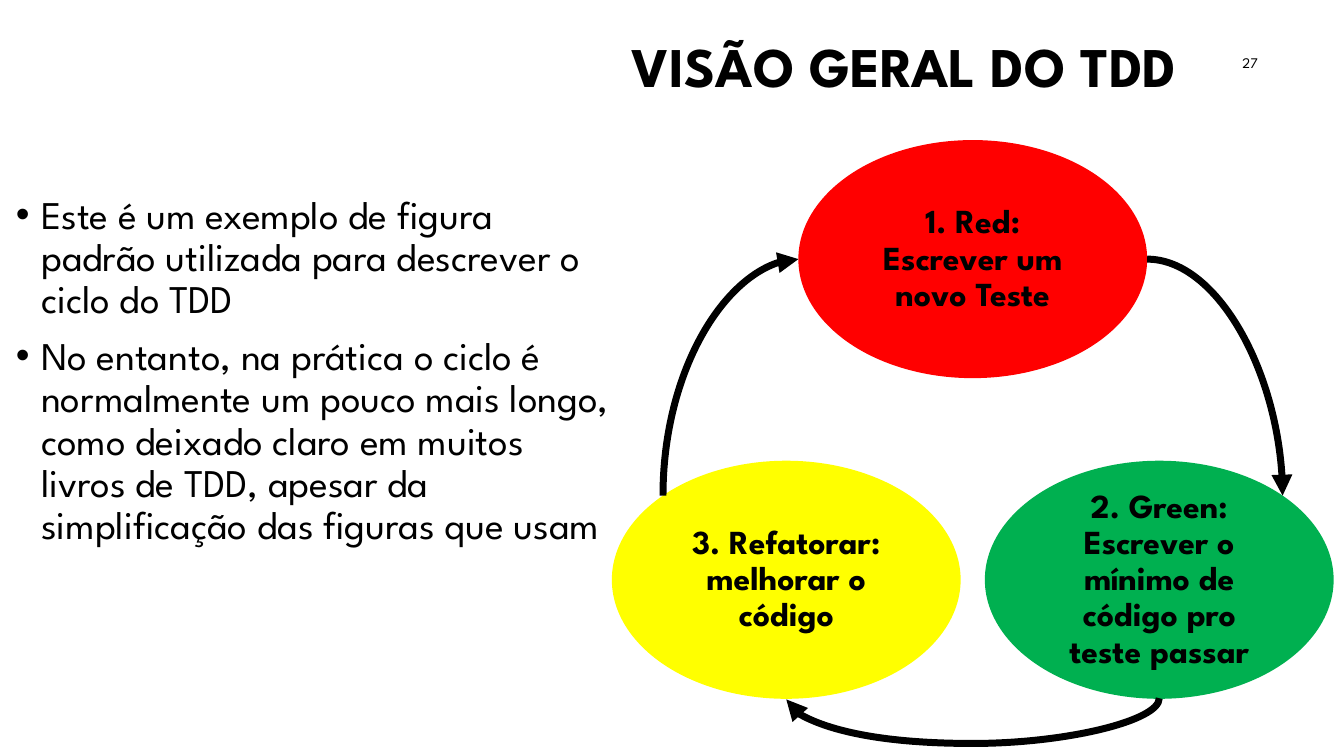
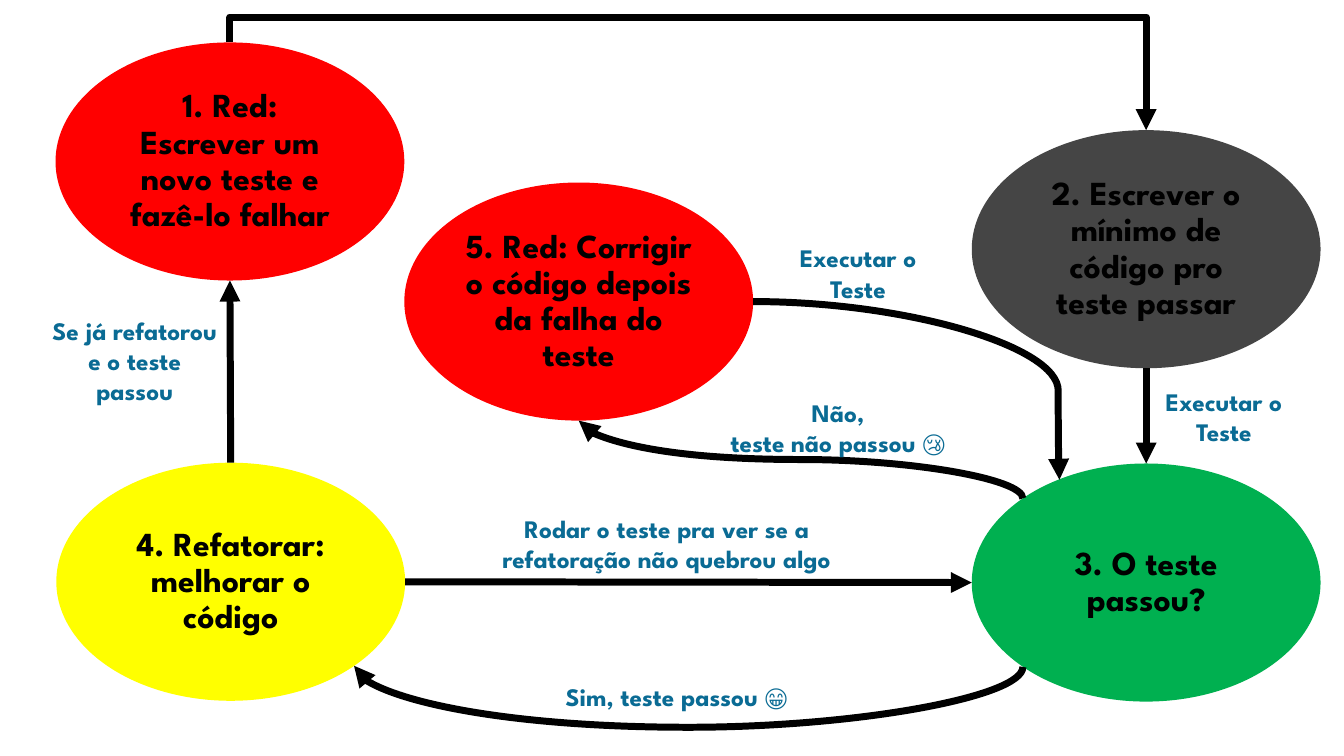
import math

import lxml.etree
import pptx
import pptx.dml.color
import pptx.enum.shapes
import pptx.enum.text
import pptx.oxml.ns
import pptx.util

Cm = pptx.util.Cm
Pt = pptx.util.Pt
qn = pptx.oxml.ns.qn
ALIGN = pptx.enum.text.PP_ALIGN
ANCHOR = pptx.enum.text.MSO_ANCHOR
CONNECTOR = pptx.enum.shapes.MSO_CONNECTOR

SLIDE_WIDTH, SLIDE_HEIGHT = 33.87, 19.05
FONT = "League Spartan"
COLORS = {
    "ink": "000000",
    "label": "0A6B94",
    "red": "FF0000",
    "green": "00B050",
    "yellow": "FFFF00",
    "gray": "454545",
}
STYLES = {
    "title": {
        "font": {"size": Pt(40), "bold": True},
        "paragraph": {"alignment": ALIGN.RIGHT, "line_spacing": 0.9},
        "frame": {"vertical_anchor": ANCHOR.MIDDLE},
    },
    "body": {
        "font": {"size": Pt(28), "bold": False},
        "paragraph": {"alignment": ALIGN.LEFT, "line_spacing": 0.9, "space_before": Pt(10)},
        "frame": {"vertical_anchor": ANCHOR.TOP},
    },
    "number": {
        "font": {"size": Pt(10.5), "bold": False},
        "paragraph": {"alignment": ALIGN.RIGHT},
        "frame": {"vertical_anchor": ANCHOR.MIDDLE},
    },
    "step": {
        "font": {"size": Pt(24), "bold": True},
        "paragraph": {"alignment": ALIGN.CENTER, "line_spacing": 0.9},
        "frame": {
            "vertical_anchor": ANCHOR.MIDDLE,
            "margin_left": Cm(0.25),
            "margin_right": Cm(0.25),
            "margin_top": Cm(0.25),
            "margin_bottom": Cm(0.25),
        },
    },
    "label": {
        "font": {"size": Pt(18), "bold": True},
        "paragraph": {"alignment": ALIGN.CENTER},
        "frame": {"vertical_anchor": ANCHOR.TOP},
    },
}
STEP_WIDTH, STEP_HEIGHT = 8.79, 6.0
# Connection sites of an ellipse, counter-clockwise from the top
TOP, TOP_LEFT, LEFT, BOTTOM_LEFT, BOTTOM, BOTTOM_RIGHT, RIGHT = range(7)
MIN_EXTENT = 0.03


def rgb(color):
    return pptx.dml.color.RGBColor.from_string(COLORS[color])


def set_values(target, values):
    for attribute, value in values.items():
        setattr(target, attribute, value)


def write(frame, text, style, color="ink"):
    formats = STYLES[style]
    frame.text = text
    frame.word_wrap = True
    set_values(frame, formats["frame"])
    for paragraph in frame.paragraphs:
        set_values(paragraph, formats["paragraph"])
        for run in paragraph.runs:
            set_values(run.font, {"name": FONT, **formats["font"]})
            run.font.color.rgb = rgb(color)


def add_text(slide, box, text, style, color="ink"):
    area = slide.shapes.add_textbox(*map(Cm, box))
    write(area.text_frame, text, style, color)
    return area.text_frame


def add_title(slide, box, text):
    title = slide.shapes.title
    set_values(title, dict(zip(("left", "top", "width", "height"), map(Cm, box))))
    write(title.text_frame, text, "title")


def add_bullets(slide, box, items):
    frame = add_text(slide, box, "\n".join(items), "body")
    for paragraph in frame.paragraphs:
        properties = paragraph._p.get_or_add_pPr()
        properties.set("marL", str(Cm(0.64)))
        properties.set("indent", str(-Cm(0.64)))
        lxml.etree.SubElement(properties, qn("a:buFont")).set("typeface", "Arial")
        lxml.etree.SubElement(properties, qn("a:buChar")).set("char", "•")


def add_step(slide, left, top, color, text):
    step = slide.shapes.add_shape(
        pptx.enum.shapes.MSO_SHAPE.OVAL, Cm(left), Cm(top), Cm(STEP_WIDTH), Cm(STEP_HEIGHT)
    )
    step.shadow.inherit = False
    step.fill.solid()
    step.fill.fore_color.rgb = rgb(color)
    step.line.fill.background()
    write(step.text_frame, text, "step")
    return step


def site_point(step, site):
    """Centimetre position of a connection site on a step's ellipse."""
    angle = math.radians(45 * site)
    return (
        (step.left + step.width / 2 * (1 - math.sin(angle))).cm
        if isinstance(step.left, float)
        else (step.left + step.width / 2 * (1 - math.sin(angle))) / Cm(1),
        (step.top + step.height / 2 * (1 - math.cos(angle))) / Cm(1),
    )


def add_arrow(slide, start, end, kind=CONNECTOR.STRAIGHT, turn=0, bend=None, preset=None):
    """Join two (step, site) pairs, or end at an (x, y) point.

    turn is 0 when the arrow leaves sideways, 90 or 270 when it leaves
    vertically; bend is the page distance from the start to the bend.
    """
    x1, y1 = site_point(*start)
    glued_end = not isinstance(end[0], (int, float))
    x2, y2 = site_point(*end) if glued_end else end
    arrow = slide.shapes.add_connector(kind, Cm(x1), Cm(y1), Cm(x2), Cm(y2))

    dx, dy = x2 - x1, y2 - y1
    along, across = {0: (dx, dy), 90: (dy, -dx), 270: (-dy, dx)}[turn]
    extent = abs(along) if bend is None else max(abs(along), MIN_EXTENT)
    arrow.width, arrow.height = Cm(extent), Cm(abs(across))
    arrow.left = Cm((x1 + x2 - extent) / 2)
    arrow.top = Cm((y1 + y2 - abs(across)) / 2)
    properties = arrow._element.spPr
    frame = properties.find(qn("a:xfrm"))
    orientation = {
        "rot": turn * 60000,
        "flipH": int(along < -1e-4),
        "flipV": int(across < 0),
    }
    for attribute, value in orientation.items():
        frame.set(attribute, str(value))

    geometry = properties.find(qn("a:prstGeom"))
    if preset:
        geometry.set("prst", preset)
    if bend is not None:
        direction = -bend if turn == 270 else bend
        ratio = direction / math.copysign(extent, along if abs(along) > 1e-4 else 1)
        guide = lxml.etree.SubElement(geometry.find(qn("a:avLst")), qn("a:gd"))
        guide.set("name", "adj1")
        guide.set("fmla", f"val {round(ratio * 100000)}")

    arrow.line.width = Pt(5)
    arrow.line.color.rgb = rgb("ink")
    lxml.etree.SubElement(properties.find(qn("a:ln")), qn("a:tailEnd")).set("type", "triangle")
    lxml.etree.SubElement(properties, qn("a:effectLst"))

    links = arrow._element.find(qn("p:nvCxnSpPr")).find(qn("p:cNvCxnSpPr"))
    ends = [("a:stCxn", start)] + ([("a:endCxn", end)] if glued_end else [])
    for tag, (step, site) in ends:
        link = lxml.etree.SubElement(links, qn(tag))
        link.set("id", str(step.shape_id))
        link.set("idx", str(site))


def add_cycle(slide, left, top):
    """Three-step cycle: one step above, two below."""
    shift, drop = 4.7, 8.08
    red = add_step(slide, left + shift, top, "red", "1. Red: Escrever um novo Teste")
    green = add_step(slide, left + 2 * shift, top + drop, "green",
                     "2. Green: Escrever o mínimo de código pro teste passar")
    refactor = add_step(slide, left, top + drop, "yellow", "3. Refatorar: melhorar o código")
    curve = CONNECTOR.CURVE
    add_arrow(slide, (refactor, TOP_LEFT), (red, LEFT), curve, 90, preset="curvedConnector2")
    add_arrow(slide, (red, RIGHT), (green, 7), curve, preset="curvedConnector2")
    add_arrow(slide, (green, BOTTOM), (refactor, BOTTOM), curve, 90, bend=1.14)


def add_flow(slide, left, top):
    """Five-step flow with labelled arrows."""
    steps = {
        "test": (0, 0, "red", "1. Red: Escrever um novo teste e fazê-lo falhar"),
        "code": (23.09, 2.21, "gray", "2. Escrever o mínimo de código pro teste passar"),
        "check": (23.09, 10.61, "green", "3. O teste passou?"),
        "refactor": (0.02, 10.59, "yellow", "4. Refatorar: melhorar o código"),
        "fix": (8.79, 3.53, "red", "5. Red: Corrigir o código depois da falha do teste"),
    }
    placed = {
        key: add_step(slide, left + x, top + y, color, text)
        for key, (x, y, color, text) in steps.items()
    }
    test, code, check, refactor, fix = placed.values()
    curve = CONNECTOR.CURVE
    add_arrow(slide, (refactor, RIGHT), (check, LEFT))
    add_arrow(slide, (refactor, TOP), (test, BOTTOM))
    add_arrow(slide, (code, BOTTOM), (check, TOP))
    add_arrow(slide, (test, TOP), (code, TOP), CONNECTOR.ELBOW, 270, bend=-0.64)
    add_arrow(slide, (check, BOTTOM_LEFT), (refactor, BOTTOM_RIGHT), curve, 90, bend=1.52)
    add_arrow(slide, (check, TOP_LEFT), (fix, BOTTOM), curve, 270)
    add_arrow(slide, (fix, RIGHT), (left + 25.3, top + 11.02), curve, bend=7.69)

    labels = [
        (12.16, 15.97, 6.99, 1.02, "Sim, teste passou 😁"),
        (9.6, 11.73, 11.61, 1.8, "Rodar o teste pra ver se a\nrefatoração não quebrou algo"),
        (15.62, 8.81, 8.2, 1.8, "Não,\nteste não passou 😢"),
        (27.02, 8.53, 4.85, 1.8, "Executar o Teste"),
        (17.8, 4.92, 4.85, 1.8, "Executar o Teste"),
        (-0.43, 6.75, 4.85, 2.57, "Se já refatorou e o teste passou"),
    ]
    for x, y, width, height, text in labels:
        add_text(slide, (left + x, top + y, width, height), text, "label", "label")


def build_overview(presentation):
    slide = presentation.slides.add_slide(presentation.slide_layouts[5])
    add_title(slide, (1.32, 0.56, 28.58, 2.39), "VISÃO GERAL DO TDD")
    add_bullets(slide, (0.15, 4.8, 15.47, 11.58), [
        "Este é um exemplo de figura padrão utilizada para descrever o ciclo do TDD",
        "No entanto, na prática o ciclo é normalmente um pouco mais longo, como deixado "
        "claro em muitos livros de TDD, apesar da simplificação das figuras que usam",
    ])
    add_text(slide, (24.33, 1.07, 7.62, 1.02), "27", "number")
    add_cycle(slide, 15.42, 3.53)


def build_detailed_flow(presentation):
    slide = presentation.slides.add_slide(presentation.slide_layouts[6])
    add_flow(slide, 1.4, 1.07)


def main():
    presentation = pptx.Presentation()
    presentation.slide_width = Cm(SLIDE_WIDTH)
    presentation.slide_height = Cm(SLIDE_HEIGHT)
    build_overview(presentation)
    build_detailed_flow(presentation)
    presentation.save("out.pptx")


if __name__ == "__main__":
    main()
